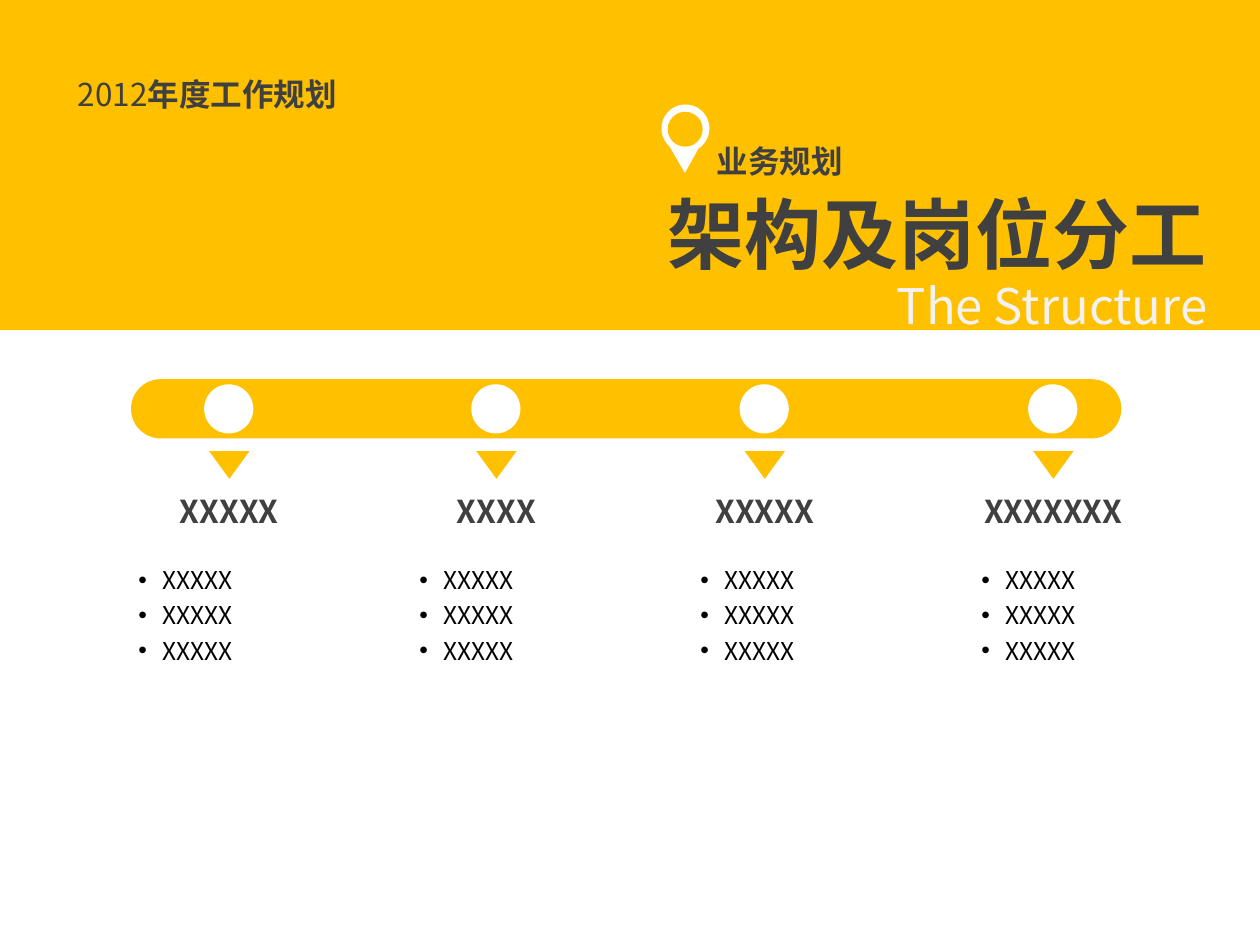
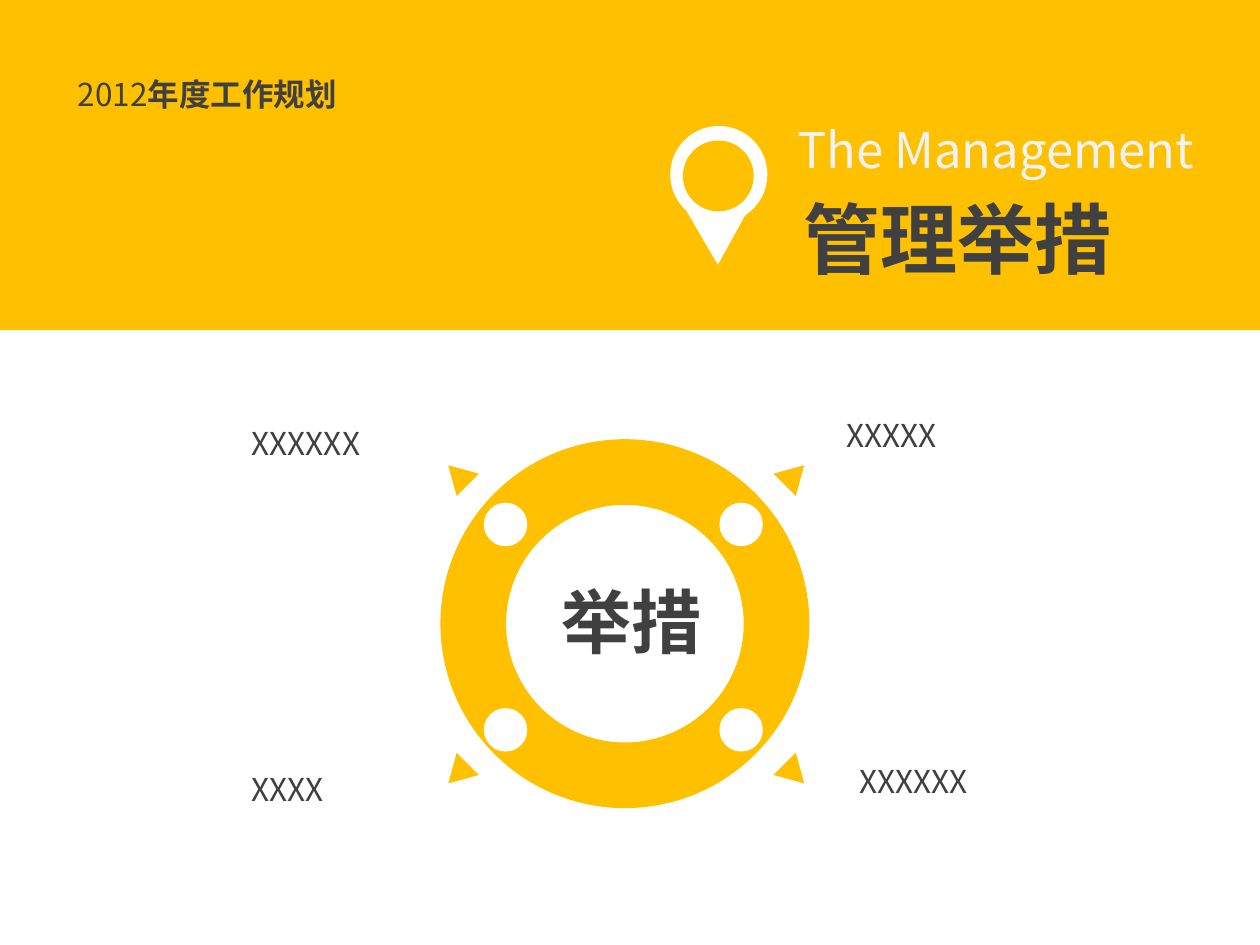
from math import cos, radians, sin

from lxml.etree import SubElement
from pptx import Presentation
from pptx.dml.color import RGBColor
from pptx.enum.shapes import MSO_SHAPE as SHAPE
from pptx.enum.text import MSO_ANCHOR as ANCHOR, MSO_AUTO_SIZE as AUTO, PP_ALIGN as ALIGN
from pptx.oxml.ns import qn
from pptx.util import Pt

PX = 9144
FONT = "Noto Sans CJK SC"
AMBER, DARK, PALE, WHITE, BLACK = "FFC000", "404040", "F2F2F2", "FFFFFF", "000000"
TITLE_ONLY = 5


def px(n):
    return round(n * PX)


def rgb(color):
    return RGBColor.from_string(color)


def paint(sp, fill):
    sp.shadow.inherit = False
    sp.fill.solid()
    sp.fill.fore_color.rgb = rgb(fill)
    sp.line.fill.background()
    return sp


def shape(s, kind, x, y, w, h, fill, rotation=0):
    sp = s.shapes.add_shape(kind, px(x), px(y), px(w), px(h))
    sp.rotation = rotation
    return paint(sp, fill)


def style_run(r, size, color, bold):
    r.font.name, r.font.size, r.font.bold = FONT, Pt(size), bold
    r.font.color.rgb = rgb(color)
    SubElement(r.font._element, qn("a:ea")).set("typeface", FONT)


def fill_text(sp, text, size, color=DARK, bold=False, align=ALIGN.LEFT, spacing=1.0, wrap=True):
    tf = sp.text_frame
    tf.text = text
    tf.word_wrap = wrap
    tf.auto_size = AUTO.SHAPE_TO_FIT_TEXT
    tf.vertical_anchor = ANCHOR.TOP
    for p in tf.paragraphs:
        p.alignment, p.line_spacing = align, spacing
        for r in p.runs:
            style_run(r, size, color, bold)
    return tf


def label(s, x, y, w, h, text, size, **style):
    sp = s.shapes.add_textbox(px(x), px(y), px(w), px(h))
    return fill_text(sp, text, size, **style)


def add_bullets(tf, indent):
    for p in tf.paragraphs:
        pPr = p._p.get_or_add_pPr()
        pPr.set("marL", str(px(indent)))
        pPr.set("indent", str(-px(indent)))
        SubElement(pPr, qn("a:buFont")).set("typeface", "Arial")
        SubElement(pPr, qn("a:buChar")).set("char", "•")


def header(s, title_box, title, subtitle_box, subtitle):
    sp = s.shapes.title
    sp.left, sp.top, sp.width, sp.height = map(px, title_box)
    fill_text(sp, title, 44, bold=True, wrap=False)
    band = shape(s, SHAPE.RECTANGLE, 0, 0, 1000, 262, AMBER)
    sp.element.addprevious(band.element)
    tf = label(s, 52, 55, 500, 40, "2012", 18)
    r = tf.paragraphs[0].add_run()
    r.text = "年度工作规划"
    style_run(r, 18, DARK, True)
    label(s, *subtitle_box, subtitle, 28, color=PALE, wrap=False)


def pin(s, x, y, w):
    radius = w / 2
    points = [(px(x + radius + radius * cos(radians(a))), px(y + radius + radius * sin(radians(a))))
              for a in range(132, 418, 3)]
    points.append((px(x + radius * 0.98), px(y + w * 1.43)))
    outline = s.shapes.build_freeform(*points[0], scale=1.0)
    outline.add_line_segments(points[1:], close=True)
    paint(outline.convert_to_shape(), WHITE)
    shape(s, SHAPE.OVAL, x + w * 0.13, y + w * 0.15, w * 0.73, w * 0.73, AMBER)


def timeline(s, x, y, w, h, stops):
    bar = shape(s, SHAPE.ROUNDED_RECTANGLE, x, y, w, h, AMBER)
    bar.adjustments[0] = 0.5
    for i, (offset, caption) in enumerate(stops):
        left = x + offset
        shape(s, SHAPE.OVAL, left, y + 4, 39, 39, WHITE)
        shape(s, SHAPE.ISOSCELES_TRIANGLE, left + 4, y + 57, 32, 22, AMBER, 180)
        label(s, left - 90, y + 85, 220, 40, caption, 18, bold=True, align=ALIGN.CENTER)
        tf = label(s, x - 4 + 223 * i, y + 138, 170, 95, "\n".join(["XXXXX"] * 3), 14,
                   color=BLACK, spacing=1.2)
        add_bullets(tf, 19)


def ring(s, x, y, d, notes):
    donut = shape(s, SHAPE.DONUT, x, y, d, d, AMBER)
    donut.adjustments[0] = 0.17
    donut.line.color.rgb = rgb(AMBER)
    donut.line.width = Pt(2)
    label(s, x + 85, y + 104, 132, 77, "举措", 40, bold=True, wrap=False)
    for right, bottom, rotation, dx, dy, text in notes:
        shape(s, SHAPE.OVAL, x + 33 + 187 * right, y + 49 + 163 * bottom, 34.5, 34.5, WHITE)
        shape(s, SHAPE.ISOSCELES_TRIANGLE, x + 267 * right, y + 16 + 237 * bottom,
              25, 22, AMBER, rotation)
        label(s, x + dx, y + dy, 295, 50, text, 18, spacing=1.5)


def structure_slide(prs):
    s = prs.slides.add_slide(prs.slide_layouts[TITLE_ONLY])
    header(s, (520, 143, 452, 84), "架构及岗位分工", (702, 214, 271, 57), "The Structure")
    pin(s, 525, 83, 38)
    label(s, 559, 93, 121, 50, "业务规划", 18, bold=True, spacing=1.5, wrap=False)
    timeline(s, 104, 301, 786, 47,
             [(58, "XXXXX"), (270, "XXXX"), (483, "XXXXX"), (712, "XXXXXXX")])


def management_slide(prs):
    s = prs.slides.add_slide(prs.slide_layouts[TITLE_ONLY])
    header(s, (628, 147, 267, 84), "管理举措", (623, 90, 352, 57), "The Management")
    pin(s, 532, 100, 77)
    ring(s, 351, 350, 290, [
        (0, 0, 315, -161, -33, "XXXXXX"),
        (1, 0, 45, 311, -40, "XXXXX"),
        (1, 1, 135, 321, 235, "XXXXXX"),
        (0, 1, 225, -161, 241, "XXXX"),
    ])


def main():
    prs = Presentation()
    prs.slide_width, prs.slide_height = px(1000), px(750)
    structure_slide(prs)
    management_slide(prs)
    prs.save("out.pptx")


if __name__ == "__main__":
    main()
